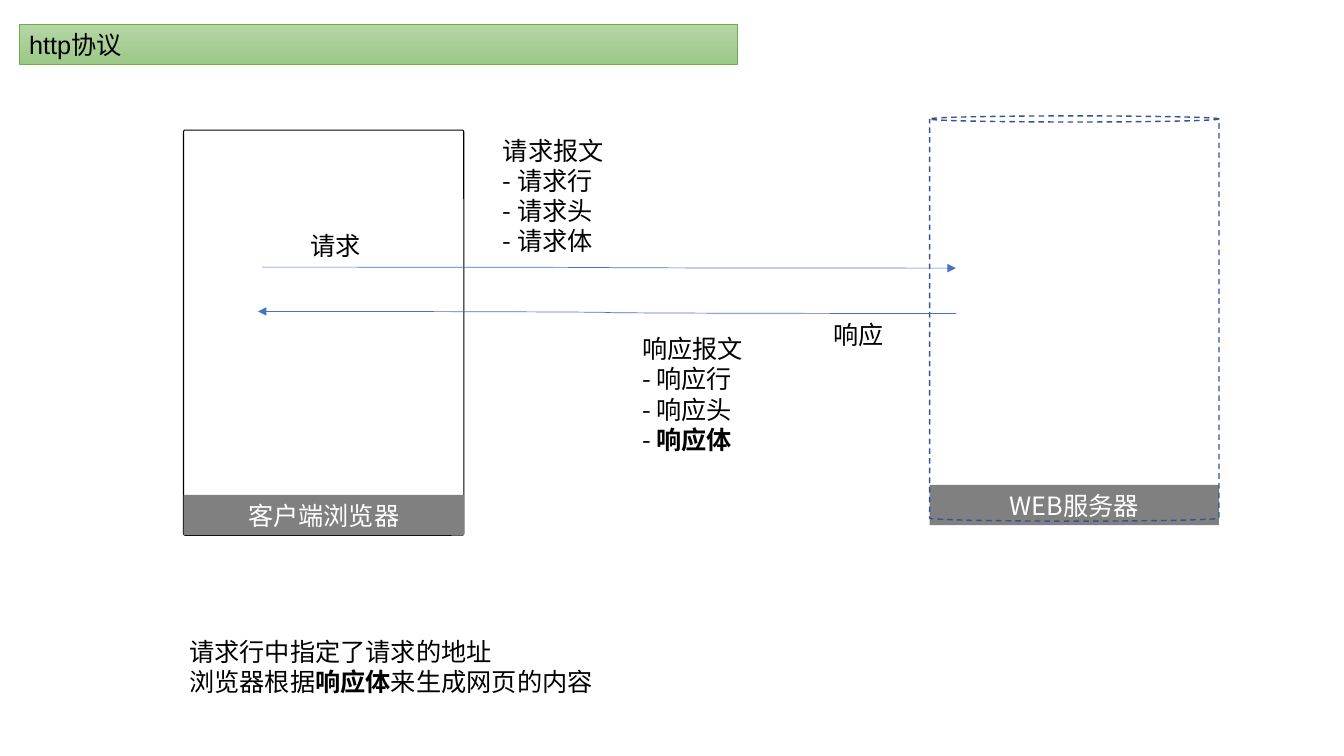
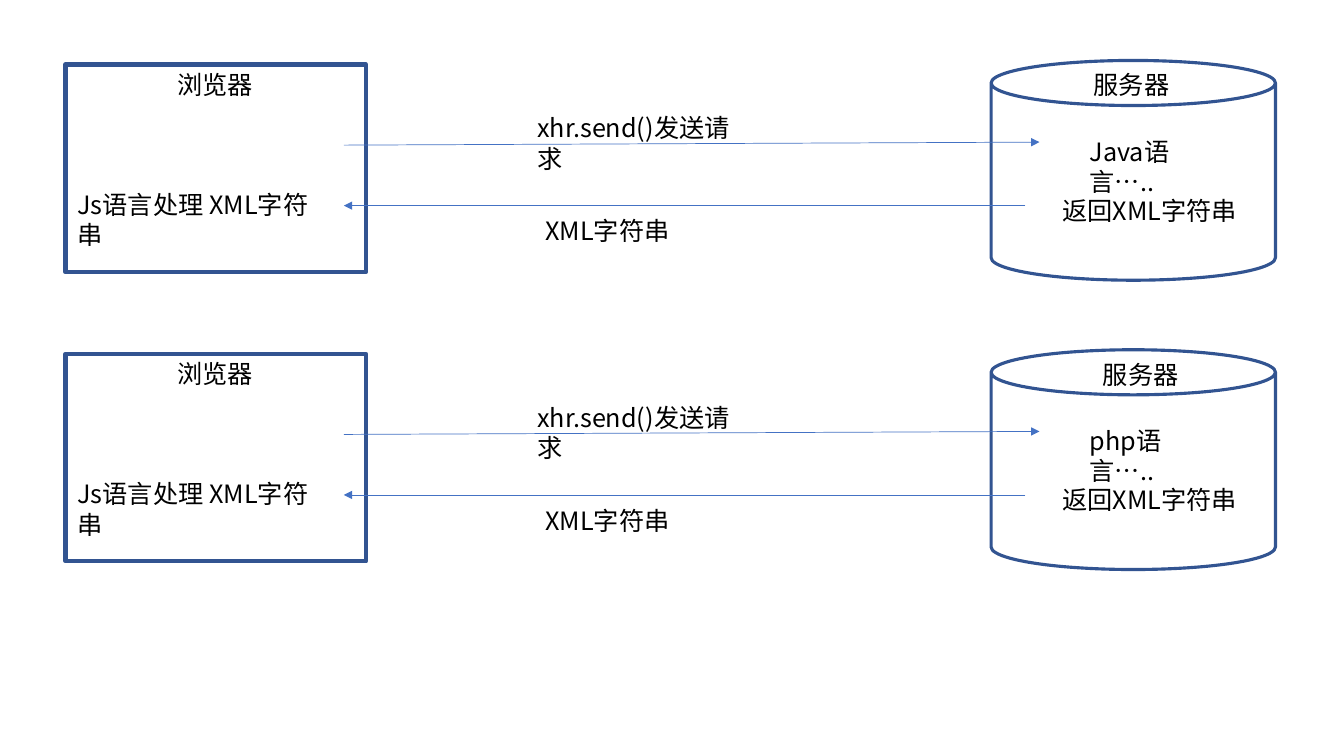
from dataclasses import dataclass

from lxml import etree
from pptx import Presentation
from pptx import util as u
from pptx.dml.color import RGBColor
from pptx.enum import dml, shapes, text
from pptx.oxml.ns import qn

SHAPE = shapes.MSO_SHAPE
ALIGN = text.PP_ALIGN


@dataclass(frozen=True)
class Theme:
    ink: str = "000000"
    paper: str = "FFFFFF"
    label: str = "808080"
    outline: str = "325491"
    arrow: str = "4472C4"
    title_top: str = "B5D5A7"
    title_bottom: str = "9CC987"
    title_edge: str = "70AD47"
    font: str = "Noto Sans CJK SC"
    title_font: str = "Arial"
    size: int = 18


def rgb(value):
    return RGBColor.from_string(value)


def fill_text(tf, content, *, color, size, font, east_font, align=ALIGN.LEFT):
    """Fill a text frame; newlines split paragraphs, ** marks bold."""
    tf.word_wrap = True
    tf.auto_size = text.MSO_AUTO_SIZE.SHAPE_TO_FIT_TEXT
    for i, line in enumerate(content.split("\n")):
        p = tf.add_paragraph() if i else tf.paragraphs[0]
        p.alignment = align
        for j, part in enumerate(line.split("**")):
            if not part:
                continue
            r = p.add_run()
            r.text = part
            r.font.size = u.Pt(size)
            r.font.bold = j % 2 == 1
            r.font.color.rgb = rgb(color)
            r.font.name = font
            etree.SubElement(r._r.get_or_add_rPr(), qn("a:ea"), typeface=east_font)


class Deck:
    def __init__(self, theme):
        self.theme = theme
        self.prs = Presentation()
        self.prs.slide_width = u.Inches(13.33)
        self.prs.slide_height = u.Inches(7.5)
        self.s = None

    def new_slide(self):
        self.s = self.prs.slides.add_slide(self.prs.slide_layouts[6])

    def put_text(self, tf, content, **fmt):
        t = self.theme
        base = dict(color=t.ink, size=t.size, font=t.font, east_font=t.font)
        fill_text(tf, content, **{**base, **fmt})

    def shape(self, kind, x, y, w, h, fill=None, line=None, width=1, adj=None, dash=None):
        sp = self.s.shapes.add_shape(kind, *map(u.Inches, (x, y, w, h)))
        sp.shadow.inherit = False
        if adj is not None:
            sp.adjustments[0] = adj
        if fill:
            sp.fill.solid()
            sp.fill.fore_color.rgb = rgb(fill)
        else:
            sp.fill.background()
        if line:
            sp.line.color.rgb = rgb(line)
            sp.line.width = u.Pt(width)
            if dash:
                sp.line.dash_style = dash
        else:
            sp.line.fill.background()
        return sp

    def title(self, content):
        t = self.theme
        sp = self.shape(SHAPE.RECTANGLE, 0.19, 0.24, 7.12, 0.4, line=t.title_edge, width=0.5)
        sp.fill.gradient()
        sp.fill.gradient_angle = 270
        for stop, color in zip(sp.fill.gradient_stops, (t.title_top, t.title_bottom)):
            stop.color.rgb = rgb(color)
        self.put_text(sp.text_frame, content, font=t.title_font)

    def label_bar(self, content, x, y, w):
        sp = self.shape(SHAPE.RECTANGLE, x, y, w, 0.4, fill=self.theme.label)
        self.put_text(sp.text_frame, content, color=self.theme.paper, align=ALIGN.CENTER)

    def text(self, content, x, y, w, h=0.4, **fmt):
        sp = self.s.shapes.add_textbox(*map(u.Inches, (x, y, w, h)))
        self.put_text(sp.text_frame, content, **fmt)

    def arrow(self, x1, y1, x2, y2, kind=shapes.MSO_CONNECTOR.STRAIGHT):
        c = self.s.shapes.add_connector(kind, *map(u.Inches, (x1, y1, x2, y2)))
        c.line.color.rgb = rgb(self.theme.arrow)
        c.line.width = u.Pt(0.5)
        etree.SubElement(c.line._get_or_add_ln(), qn("a:tailEnd"), type="triangle")
        etree.SubElement(c._element.spPr, qn("a:effectLst"))


def http_slide(d):
    t = d.theme
    d.new_slide()

    # Server label, title, client and server bodies
    d.label_bar("WEB服务器", 9.22, 4.81, 2.87)
    d.title("http协议")
    d.shape(SHAPE.ROUNDED_RECTANGLE, 1.82, 1.29, 2.78, 4.02,
            line=t.ink, width=0.75, adj=0.006)
    d.shape(SHAPE.CAN, 9.22, 1.15, 2.87, 4.02, line=t.outline, adj=0.021,
            dash=dml.MSO_LINE.DASH)
    d.label_bar("客户端浏览器", 1.82, 4.91, 2.78)

    # Request and response arrows
    curve = shapes.MSO_CONNECTOR.CURVE
    d.arrow(2.6, 2.65, 9.48, 2.66, curve)
    d.arrow(9.48, 3.11, 2.56, 3.09, curve)
    d.text("请求", 2.97, 2.24, 0.71, align=ALIGN.CENTER)
    d.text("响应", 8.16, 3.12, 0.71, align=ALIGN.CENTER)

    # Message parts
    d.text("请求报文\n- 请求行\n- 请求头\n- 请求体", 4.89, 1.29, 1.21, 1.31)
    d.text("响应报文\n- 响应行\n- 响应头\n- **响应体**", 6.27, 3.26, 1.28, 1.31)

    # Summary
    d.text("请求行中指定了请求的地址\n浏览器根据**响应体**来生成网页的内容",
           1.78, 6.26, 4.24, 0.71)


def exchange(d, top, language, server_x, server_y):
    """One browser-server round trip, placed from its top edge."""
    t = d.theme
    # Browser and server bodies
    d.shape(SHAPE.RECTANGLE, 0.65, top + 0.04, 2.98, 2.06,
            fill=t.paper, line=t.outline, width=3)
    d.shape(SHAPE.CAN, 9.83, top, 2.82, 2.18,
            fill=t.paper, line=t.outline, width=2.25, adj=0.205)
    d.text("浏览器", 1.66, top + 0.04, 0.96)
    d.text("服务器", server_x, server_y, 0.96)

    # Request and response
    d.arrow(3.41, top + 0.84, 10.31, top + 0.81)
    d.text("xhr.send()发送请求", 5.23, top + 0.47, 2.27)
    d.arrow(10.17, top + 1.44, 3.41, top + 1.44)
    d.text("XML字符串", 5.31, top + 1.49, 1.44)

    # Work done on each side
    d.text("返回XML字符串", 10.44, top + 1.29, 1.95)
    d.text(f"{language}语言…..", 10.71, top + 0.7, 1.44)
    d.text("Js语言处理 XML字符串", 0.67, top + 1.23, 2.71)


def xml_slide(d):
    d.new_slide()
    exchange(d, 0.6, "Java", 10.75, 0.64)
    exchange(d, 3.47, "php", 10.84, 3.52)


def main():
    d = Deck(Theme())
    http_slide(d)
    xml_slide(d)
    d.prs.save("out.pptx")


if __name__ == "__main__":
    main()
